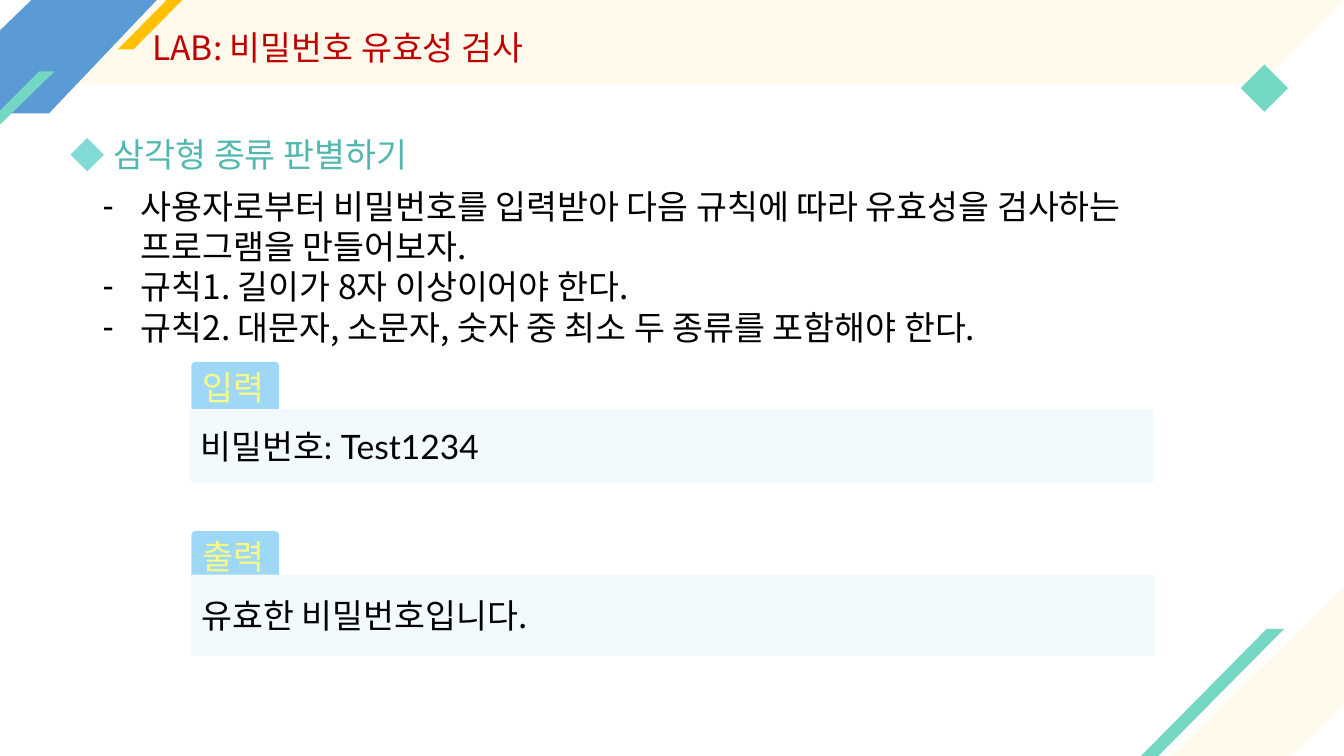
"""Build the password check lab slide."""
from lxml.etree import SubElement
from pptx import Presentation
from pptx.dml.color import RGBColor
from pptx.enum.shapes import MSO_SHAPE
from pptx.enum.text import MSO_ANCHOR, MSO_AUTO_SIZE, PP_ALIGN
from pptx.oxml.ns import qn
from pptx.util import Pt

INK = {
    "cream": "FFFAEB", "mint": "73D7C4", "blue": "5B9BD5", "white": "FFFFFF",
    "gold": "FFC000", "red": "C00000", "teal": "51B8B0", "aqua": "81DAD6",
    "black": "000000", "sky": "9FD8F7", "lemon": "F9FB83", "pale": "F3FAFE",
}
SANS = "Noto Sans CJK KR"


def paint(shape, ink):
    shape.shadow.inherit = False
    shape.fill.solid()
    shape.fill.fore_color.rgb = RGBColor.from_string(INK[ink])
    shape.line.fill.background()


def write(shape, text, ink, anchor, face=SANS):
    frame = shape.text_frame
    frame.text = text
    frame.word_wrap = True
    frame.auto_size = MSO_AUTO_SIZE.NONE
    frame.vertical_anchor = anchor
    for para in frame.paragraphs:
        para.alignment = PP_ALIGN.LEFT
        para.line_spacing = 1.0
        para.space_before = Pt(0)
        para.font.size = Pt(24)
        para.font.color.rgb = RGBColor.from_string(INK[ink])
        para.font.name = face
    for props in shape.element.iter(qn("a:defRPr")):
        SubElement(props, qn("a:ea")).set("typeface", SANS)


deck = Presentation()
deck.slide_width, deck.slide_height = Pt(960), Pt(540)
slide = deck.slides.add_slide(deck.slide_layouts[1])
shapes = slide.shapes

TRI, SLANT, GEM = MSO_SHAPE.RIGHT_TRIANGLE, MSO_SHAPE.PARALLELOGRAM, MSO_SHAPE.DIAMOND
BLUE = [(0, 0), (111.6, 0), (35.3, 81.4), (0, 81.4)]
STRIPE = [(0, 79.2), (28.1, 51.1), (38.9, 51.1), (0, 89.3)]
decor = [
    (TRI, (836.6, 419.8, 123.4, 120.2), "cream", "flipH", None),
    (SLANT, (27.4, 0, 887.8, 59.8), "cream", None, 0.25),
    (TRI, (900, 0, 60, 59.8), "cream", "flipV", None),
    (GEM, (886.3, 46.1, 33.8, 33.8), "mint", None, None),
    (None, BLUE, "blue", None, None),
    (TRI, (0, 0, 22.3, 21.6), "white", "flipV", None),
    (TRI, (923, 504, 37, 36), "white", "flipH", None),
    (SLANT, (815, 449.3, 102.2, 90.7), "mint", None, 0.99),
    (SLANT, (84.2, 0, 46.1, 35.3), "gold", None, 0.99),
    (None, STRIPE, "mint", None, None),
    (GEM, (50.4, 98.6, 23.8, 23.8), "aqua", None, None),
]
for kind, place, ink, flip, slope in decor:
    if kind is None:
        pen = shapes.build_freeform(*place[0], scale=Pt(1))
        pen.add_line_segments(place[1:], close=True)
        shape = pen.convert_to_shape()
    else:
        shape = shapes.add_shape(kind, *map(Pt, place))
    paint(shape, ink)
    if flip:
        shape.element.spPr.find(qn("a:xfrm")).set(flip, "1")
    if slope:
        shape.adjustments[0] = slope

title, body = shapes.title, slide.placeholders[1]
holders = [(title, (101.5, 15.8, 555, 36)), (body, (66.2, 128.9, 795, 123.8))]
for shape, place in holders:
    shape.left, shape.top, shape.width, shape.height = map(Pt, place)
    shape.element.getparent().append(shape.element)

write(title, "LAB: 비밀번호 유효성 검사", "red", MSO_ANCHOR.TOP)
topic = shapes.add_textbox(*map(Pt, (74.2, 92.2, 399, 36)))
write(topic, "삼각형 종류 판별하기", "teal", MSO_ANCHOR.TOP)

rules = [
    "사용자로부터 비밀번호를 입력받아 다음 규칙에 따라 유효성을 검사하는 프로그램을 만들어보자.",
    "규칙1. 길이가 8자 이상이어야 한다.",
    "규칙2. 대문자, 소문자, 숫자 중 최소 두 종류를 포함해야 한다.",
]
body.text_frame.text = "\n".join(rules)
write(body, "\n".join(rules), "black", MSO_ANCHOR.TOP)
for para in body.element.iter(qn("a:p")):
    props = para.get_or_add_pPr()
    props.set("marL", str(Pt(27)))
    props.set("indent", str(-Pt(27)))
    dash = SubElement(props, qn("a:buChar"))
    dash.set("char", "-")
    props.find(qn("a:defRPr")).addprevious(dash)

cards = [
    ("입력", (136.8, 258.5, 62.6, 35.3), "sky", "lemon", SANS, 0.08),
    ("비밀번호: Test1234", (135.4, 292.3, 689, 52.6), "pale", "black", "Lato", 0.04),
    ("출력", (136.8, 379.4, 62.6, 35.3), "sky", "lemon", SANS, 0.08),
    ("유효한 비밀번호입니다.", (136.1, 410.4, 689, 58.3), "pale", "black", SANS, 0.04),
]
for text, place, fill, ink, face, curve in cards:
    card = shapes.add_shape(MSO_SHAPE.ROUNDED_RECTANGLE, *map(Pt, place))
    card.adjustments[0] = curve
    paint(card, fill)
    write(card, text, ink, MSO_ANCHOR.MIDDLE, face)

deck.save("out.pptx")
